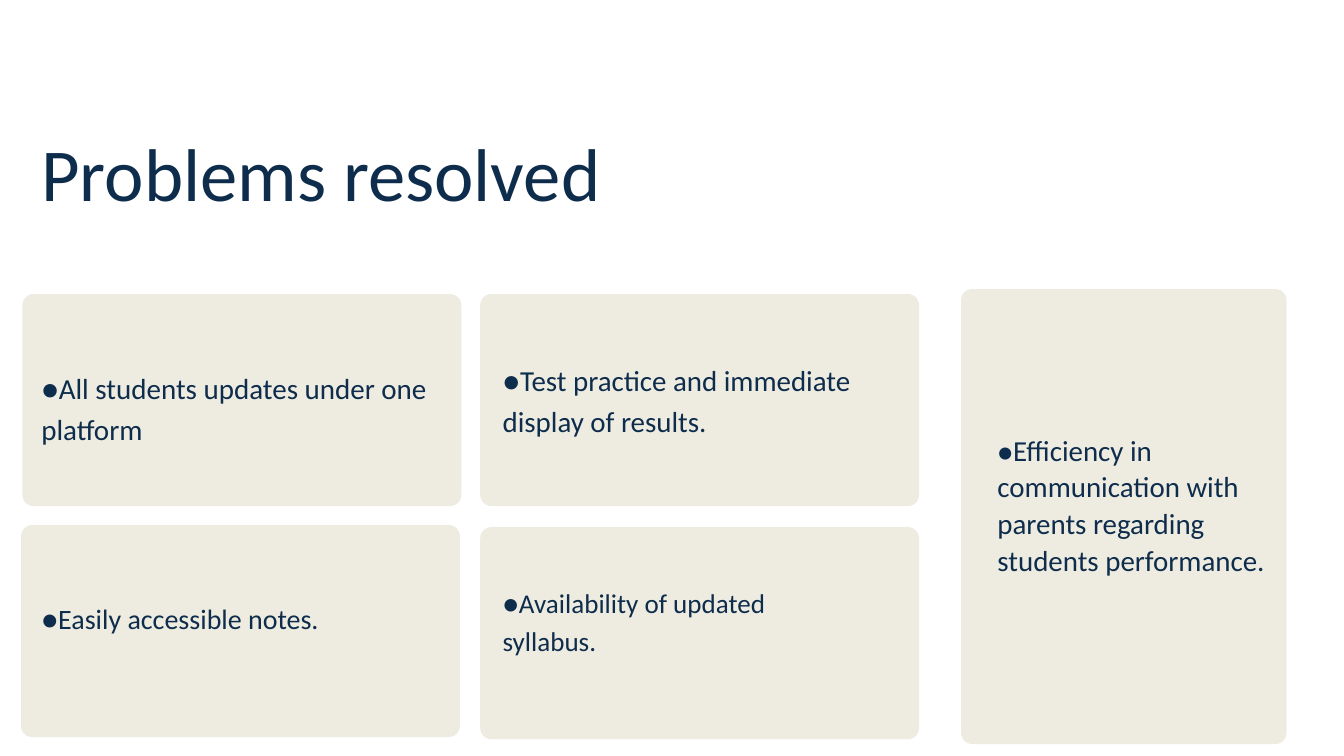
from dataclasses import dataclass

from pptx import Presentation
from pptx import util as u
from pptx.dml.color import RGBColor
from pptx.enum import shapes, text

PX = 9525
BULLET = "●"


@dataclass(frozen=True)
class Theme:
    ink: RGBColor = RGBColor.from_string("0E2C4B")
    card: RGBColor = RGBColor.from_string("EEECE1")
    font: str = "Calibri"
    title: float = 80
    large: float = 31.1
    body: float = 31
    medium: float = 30
    small: float = 29
    bullet: float = 28
    radius: int = 16


def write(paragraph, content, *, size, color, font):
    run = paragraph.add_run()
    run.text = content
    run.font.size = u.Pt(size)
    run.font.name = font
    run.font.color.rgb = color


class SlideBuilder:
    def __init__(self, slide, theme):
        self.slide = slide
        self.theme = theme

    def card(self, left, top, width, height):
        card = self.slide.shapes.add_shape(
            shapes.MSO_SHAPE.ROUNDED_RECTANGLE,
            *(n * PX for n in (left, top, width, height)))
        card.adjustments[0] = self.theme.radius / min(width, height)
        card.shadow.inherit = False
        card.fill.solid()
        card.fill.fore_color.rgb = self.theme.card
        card.line.fill.background()

    def text(self, left, top, width, height, pieces, leading):
        box = self.slide.shapes.add_textbox(
            *(n * PX for n in (left, top, width, height)))
        frame = box.text_frame
        frame.word_wrap = True
        frame.auto_size = text.MSO_AUTO_SIZE.SHAPE_TO_FIT_TEXT
        frame.margin_left = frame.margin_right = 0
        frame.margin_top = frame.margin_bottom = 0
        paragraph = frame.paragraphs[0]
        paragraph.line_spacing = u.Pt(leading)
        for content, size in pieces:
            write(paragraph, content, size=size,
                  color=self.theme.ink, font=self.theme.font)


def main():
    deck = Presentation()
    deck.slide_width = 1920 * PX
    deck.slide_height = 1080 * PX
    theme = Theme()
    page = SlideBuilder(deck.slides.add_slide(deck.slide_layouts[6]), theme)

    card_width, card_height = 627, 303
    for left, top in ((32, 420), (30, 750), (686, 420), (686, 753)):
        page.card(left, top, card_width, card_height)
    page.card(1373, 413, 465, 650)

    page.text(59, 176, 1206, 127, [("Problems resolved", theme.title)], 99.6)

    benefits = (
        (59, 521, 600, 113, "All students updates under one platform",
         theme.large, 43.6),
        (59, 851, 501, 54, "Easily accessible notes.", theme.medium, 42),
        (718, 830, 501, 106, "Availability of updated syllabus.",
         theme.small, 40.6),
        (718, 510, 564, 112, "Test practice and immediate display of results.",
         theme.body, 43.4),
    )
    for left, top, width, height, benefit, size, leading in benefits:
        page.text(left, top, width, height, [(BULLET + benefit, size)], leading)

    communication = (
        "Efficiency in communication with parents regarding "
        "students performance.")
    page.text(1425, 615, 405, 210,
              [(BULLET, theme.bullet), (communication, theme.body)], 39.2)

    deck.save("out.pptx")


if __name__ == "__main__":
    main()
